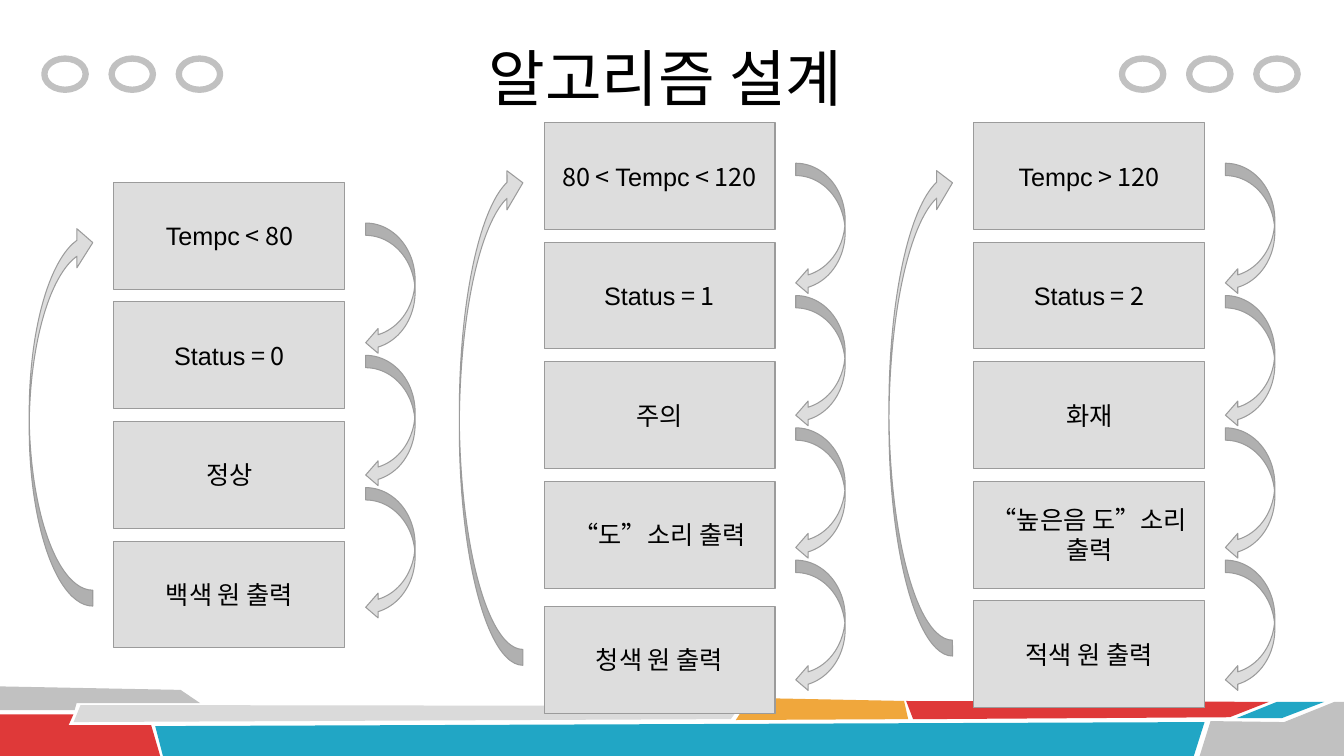
from dataclasses import dataclass

import pptx
import pptx.dml.color
import pptx.enum.shapes
import pptx.enum.text
import pptx.oxml.ns
import pptx.util
from lxml import etree

Pt = pptx.util.Pt
SHAPES = pptx.enum.shapes.MSO_SHAPE
VARIABLES = ("Tempc", "Status")


@dataclass(frozen=True)
class Theme:
    red: str = "DF3939"
    blue: str = "21A6C5"
    orange: str = "F0A73C"
    silver: str = "C1C1C1"
    pale: str = "DADADA"
    box: str = "DDDDDD"
    outline: str = "9B9B9B"
    text: str = "000000"
    title_size: float = 44
    body_size: float = 18
    hangul_font: str = "Noto Sans CJK KR"
    latin_font: str = "Arial"


THEME = Theme()

# Corner points measured from the top left of the footer
FOOTER_BANDS = [
    (THEME.silver, [(0, 0), (129, 2.5), (143, 12), (54.7, 12), (53.3, 17), (0, 17)]),
    (THEME.red, [(0, 20), (52.5, 20), (49, 27.7), (108, 27.7), (114.5, 50), (0, 50)]),
    (THEME.pale, [(57.6, 13.3), (529, 14), (522, 23.4), (52.6, 25.5)]),
    (THEME.blue, [(110.9, 28.4), (860.4, 25.5), (852.5, 50.5), (116.6, 50.5)]),
    (THEME.orange, [(535.7, 8.2), (645.8, 10.4), (648.7, 23.4), (525.6, 24)]),
    (THEME.red, [(647.3, 10.4), (906.5, 11), (878.4, 22), (652.3, 23.4)]),
    (THEME.blue, [(912.2, 11), (946, 11), (915.8, 22.6), (883.4, 22.6)]),
    (THEME.silver, [(864.7, 24.8), (917.3, 25.5), (953.3, 11), (960, 11),
                    (960, 50), (856.8, 50)]),
]

# left, top, extra gap above the last box, height of the return arrow, steps
COLUMNS = [
    (81.4, 130.3, 0, 273.6,
     ["Tempc < 80", "Status = 0", "정상", "백색 원 출력"]),
    (695.5, 87.6, 0, 352,
     ["Tempc > 120", "Status = 2", "화재", "“높은음 도”소리 출력", "적색 원 출력"]),
    (388.6, 87.6, 4, 358.6,
     ["80 < Tempc < 120", "Status = 1", "주의", "“도”소리 출력", "청색 원 출력"]),
]


def paint(shape, fill=None, line=None, weight=0.75):
    shape.shadow.inherit = False
    for part, color in ((shape.fill, fill), (shape.line.fill, line)):
        if color:
            part.solid()
            part.fore_color.rgb = pptx.dml.color.RGBColor.from_string(color)
        else:
            part.background()
    if line:
        shape.line.width = Pt(weight)


def add_preset(slide, kind, left, top, width, height, **colors):
    shape = slide.shapes.add_shape(kind, Pt(left), Pt(top), Pt(width), Pt(height))
    paint(shape, **colors)
    return shape


def split_by_font(text):
    """Pair each stretch of text with its font; variable names are Latin."""
    for variable in VARIABLES:
        if variable in text:
            before, name, after = text.partition(variable)
            return [(before, THEME.hangul_font), (name, THEME.latin_font),
                    (after, THEME.hangul_font)]
    return [(text, THEME.hangul_font)]


def write(shape, text, size):
    frame = shape.text_frame
    settings = {"word_wrap": True,
                "vertical_anchor": pptx.enum.text.MSO_ANCHOR.MIDDLE}
    for name, value in settings.items():
        setattr(frame, name, value)
    paragraph = frame.paragraphs[0]
    paragraph.alignment = pptx.enum.text.PP_ALIGN.CENTER
    for part, font_name in split_by_font(text):
        if not part:
            continue
        run = paragraph.add_run()
        run.text = part
        for name, value in {"size": Pt(size), "name": font_name}.items():
            setattr(run.font, name, value)
        run.font.color.rgb = pptx.dml.color.RGBColor.from_string(THEME.text)
        east_asian = etree.SubElement(run.font._element, pptx.oxml.ns.qn("a:ea"))
        east_asian.set("typeface", THEME.hangul_font)


def add_footer(slide, left, top):
    for color, corners in FOOTER_BANDS:
        points = [(Pt(left + x), Pt(top + y)) for x, y in corners]
        builder = slide.shapes.build_freeform(*points[0])
        builder.add_line_segments(points[1:], close=True)
        paint(builder.convert_to_shape(), fill=color)


def add_rings(slide, left, top):
    for index in range(3):
        add_preset(slide, SHAPES.OVAL, left + 48 * index, top, 29.5, 22.3,
                   line=THEME.silver, weight=4.5)


def add_title(slide, left, top, width, height):
    title = slide.shapes.add_textbox(Pt(left), Pt(top), Pt(width), Pt(height))
    write(title, "알고리즘 설계", THEME.title_size)


def add_column(slide, left, top, last_gap, return_height, steps):
    """Stack the steps, with arrows down the right and one back up the left."""
    colors = {"fill": THEME.box, "line": THEME.outline}
    last = len(steps) - 1
    arrow_top = top + 29
    for index, step in enumerate(steps):
        gap = last_gap if index == last else 0
        box = add_preset(slide, SHAPES.RECTANGLE, left, top + 85.4 * index + gap,
                         165, 76.3, **colors)
        write(box, step, THEME.body_size)
    for index in range(last):
        add_preset(slide, SHAPES.CURVED_LEFT_ARROW, left + 179.8,
                   arrow_top + 94.5 * index, 35.3, 94.3, **colors)

    # The return arrow is turned a quarter, so its frame lies across its centre
    thickness = 45.4
    center_x = left - 60.5 + thickness / 2
    center_y = arrow_top + return_height / 2
    arrow = add_preset(slide, SHAPES.CURVED_DOWN_ARROW,
                       center_x - return_height / 2, center_y - thickness / 2,
                       return_height, thickness, **colors)
    arrow.rotation = 270
    arrow.adjustments[1] = 0.615


def main():
    presentation = pptx.Presentation()
    presentation.slide_width = Pt(960)
    presentation.slide_height = Pt(540)
    slide = presentation.slides.add_slide(presentation.slide_layouts[6])
    add_footer(slide, 0, 490.3)
    for left in (31.7, 801.4):
        add_rings(slide, left, 41.8)
    add_title(slide, 163.4, 10, 624.2, 90)
    for column in COLUMNS:
        add_column(slide, *column)
    presentation.save("out.pptx")


if __name__ == "__main__":
    main()
